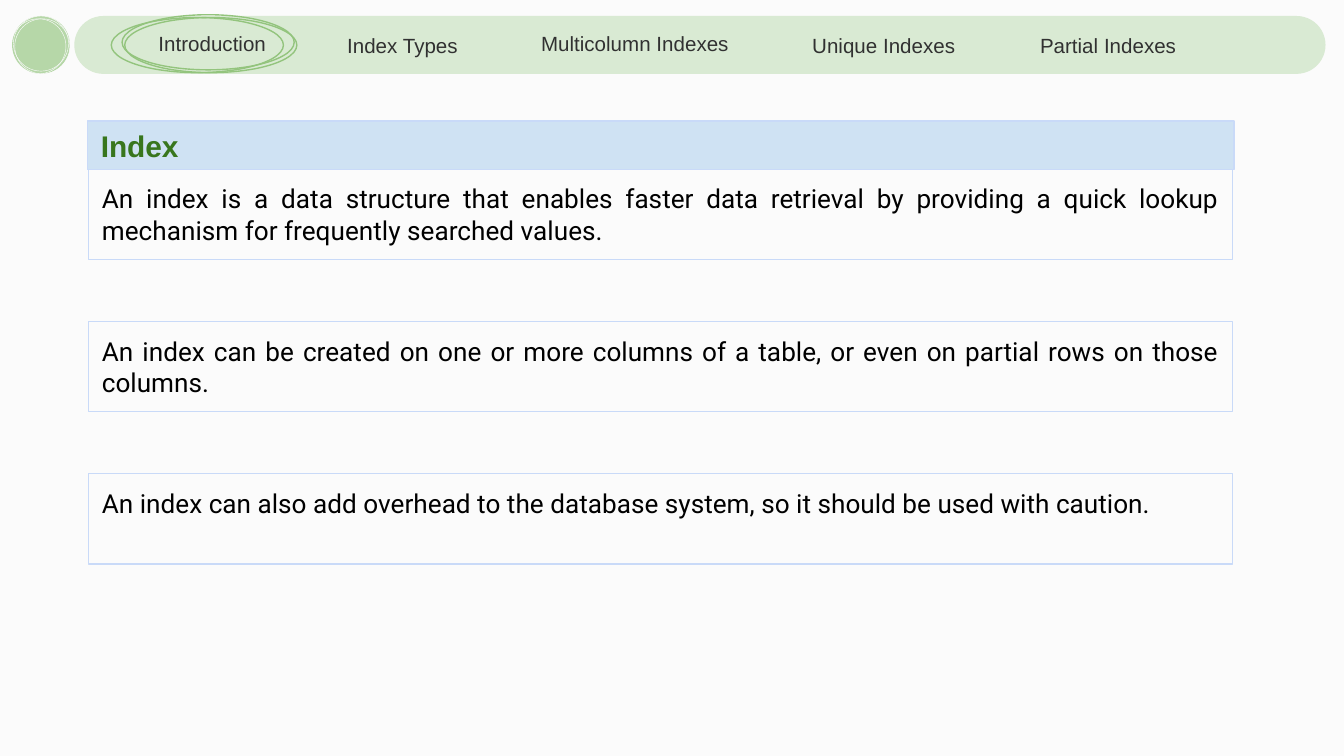
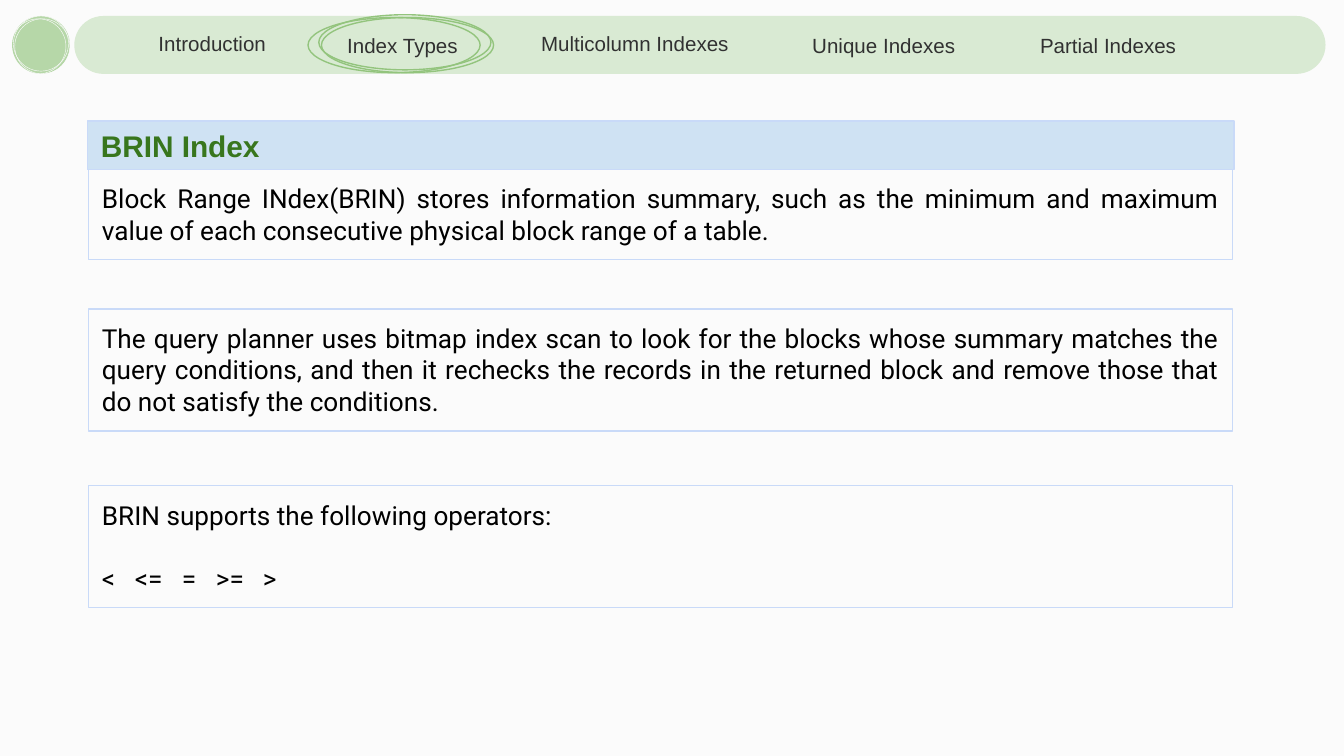
"""Build two slides on database indexes under a shared navigation bar."""
from lxml.etree import SubElement
from pptx import Presentation
from pptx.dml.color import RGBColor
from pptx.enum.shapes import MSO_SHAPE as Preset
from pptx.enum.text import MSO_ANCHOR as Anchor, MSO_AUTO_SIZE as AutoSize, PP_ALIGN as Align
from pptx.oxml.ns import qn
from pptx.util import Pt

COLOURS = {"page": "FBFBFB", "emblem": "B6D7A8", "nav": "D9EAD3", "nav text": "313131",
           "ring": "93C47D", "heading": "CFE2F3", "heading text": "38761D",
           "border": "C9DAF8", "body": "000000"}

TOPICS = [
    ("Introduction", 77.8, 15.8, 114.5, Align.LEFT),
    ("Index Types", 169.2, 16.6, 92.9, Align.CENTER),
    ("Multicolumn Indexes", 276.5, 15.8, 127.4, Align.CENTER),
    ("Unique Indexes", 416.2, 16.6, 114.5, Align.CENTER),
    ("Partial Indexes", 536.4, 16.6, 114.5, Align.CENTER),
]

SLIDES = [
    {"heading": "Index", "marker": 59.6, "notes": [
        (90.7, 2, ["An index is a data structure that enables faster data retrieval by providing "
                   "a quick lookup mechanism for frequently searched values."]),
        (172.2, 2, ["An index can be created on one or more columns of a table, or even on "
                    "partial rows on those columns."]),
        (253.8, 2, ["An index can also add overhead to the database system, so it should be "
                    "used with caution."]),
    ]},
    {"heading": "BRIN Index", "marker": 165, "notes": [
        (90.7, 2, ["Block Range INdex(BRIN) stores information summary, such as the minimum and "
                   "maximum value of each consecutive physical block range of a table."]),
        (165.5, 3, ["The query planner uses bitmap index scan to look for the blocks whose summary "
                    "matches the query conditions, and then it rechecks the records in the returned "
                    "block and remove those that do not satisfy the conditions."]),
        (260.1, 3, ["BRIN supports the following operators:", "<\t<=\t=\t>=\t>"]),
    ]},
]

OPERATOR_TABS = (17.7, 42.9, 61.1, 86.3)
EMBLEM_RINGS = [(7.2, 8.6), (5.8, 10.1), (7.9, 10.1)]
MARKER_RINGS = [(5.8, 7.9), (0, 9.4), (7.2, 9.4)]
RING_HEIGHT, MARKER_WIDTH = 29.5, 92.2
LINE_HEIGHT, INSET = 17, 7.2


def colour(name):
    return RGBColor.from_string(COLOURS[name])


def paint(shape, fill=None, line=None, weight=0.75):
    if fill:
        shape.fill.solid()
        shape.fill.fore_color.rgb = colour(fill)
    else:
        shape.fill.background()
    if line:
        shape.line.color.rgb = colour(line)
        shape.line.width = Pt(weight)
    else:
        shape.line.fill.background()


def add_preset(slide, preset, box, **look):
    shape = slide.shapes.add_shape(preset, *map(Pt, box))
    shape.shadow.inherit = False
    paint(shape, **look)
    return shape


def set_frame(frame, anchor, right=INSET):
    frame.word_wrap = True
    frame.auto_size = AutoSize.NONE
    frame.vertical_anchor = anchor
    frame.margin_left = frame.margin_top = frame.margin_bottom = Pt(INSET)
    frame.margin_right = Pt(right)


def style(paragraph, font_name, size, colour_name, align, bold=False):
    paragraph.alignment = align
    for run in paragraph.runs:
        run.font.name, run.font.size, run.font.bold = font_name, Pt(size), bold
        run.font.color.rgb = colour(colour_name)


def add_tabs(paragraph, stops):
    tabs = SubElement(paragraph._p.get_or_add_pPr(), qn("a:tabLst"))
    for stop in stops:
        SubElement(tabs, qn("a:tab"), pos=str(Pt(stop)), algn="l")


def add_emblem(slide):
    add_preset(slide, Preset.OVAL, (6.5, 8.6, 31, 31), fill="emblem")
    for left, top in EMBLEM_RINGS:
        add_preset(slide, Preset.OVAL, (left, top, RING_HEIGHT, RING_HEIGHT),
                   line="page", weight=0.23)


def add_heading(slide, text):
    heading = slide.shapes.title
    heading.left, heading.top, heading.width, heading.height = map(Pt, (46.8, 64.8, 614.2, 25.9))
    paint(heading, "heading", "border")
    heading.text_frame.text = text
    set_frame(heading.text_frame, Anchor.MIDDLE, right=0)
    style(heading.text_frame.paragraphs[0], "Arial", 16, "heading text", Align.LEFT, bold=True)


def add_note(slide, top, lines, texts):
    height = lines * LINE_HEIGHT + 2 * INSET
    note = add_preset(slide, Preset.RECTANGLE, (47.5, top, 612.8, height), line="border")
    frame = note.text_frame
    set_frame(frame, Anchor.TOP)
    frame.text = "\n".join(texts)
    for index, paragraph in enumerate(frame.paragraphs):
        tabbed = "\t" in texts[index]
        if index:
            paragraph.space_before = Pt(LINE_HEIGHT)
        if tabbed:
            add_tabs(paragraph, OPERATOR_TABS)
        style(paragraph, "Roboto", 14, "body", Align.LEFT if tabbed else Align.JUSTIFY)


def add_navigation(slide, marker):
    bar = add_preset(slide, Preset.ROUNDED_RECTANGLE, (39.8, 8.6, 670.3, 31), fill="nav")
    bar.adjustments[0] = 0.5
    for text, left, top, width, align in TOPICS:
        topic = slide.shapes.add_textbox(*map(Pt, (left, top, width, 15.1)))
        topic.text_frame.text = text
        set_frame(topic.text_frame, Anchor.MIDDLE)
        style(topic.text_frame.paragraphs[0], "Arial", 11, "nav text", align)
    for shift, top in MARKER_RINGS:
        add_preset(slide, Preset.OVAL, (marker + shift, top, MARKER_WIDTH, RING_HEIGHT), line="ring")


def main():
    deck = Presentation()
    deck.slide_width, deck.slide_height = Pt(720), Pt(405)
    backdrop = deck.slide_master.background.fill
    backdrop.solid()
    backdrop.fore_color.rgb = colour("page")
    for content in SLIDES:
        slide = deck.slides.add_slide(deck.slide_layouts[5])
        add_emblem(slide)
        add_heading(slide, content["heading"])
        for note in content["notes"]:
            add_note(slide, *note)
        add_navigation(slide, content["marker"])
    deck.save("out.pptx")


if __name__ == "__main__":
    main()
